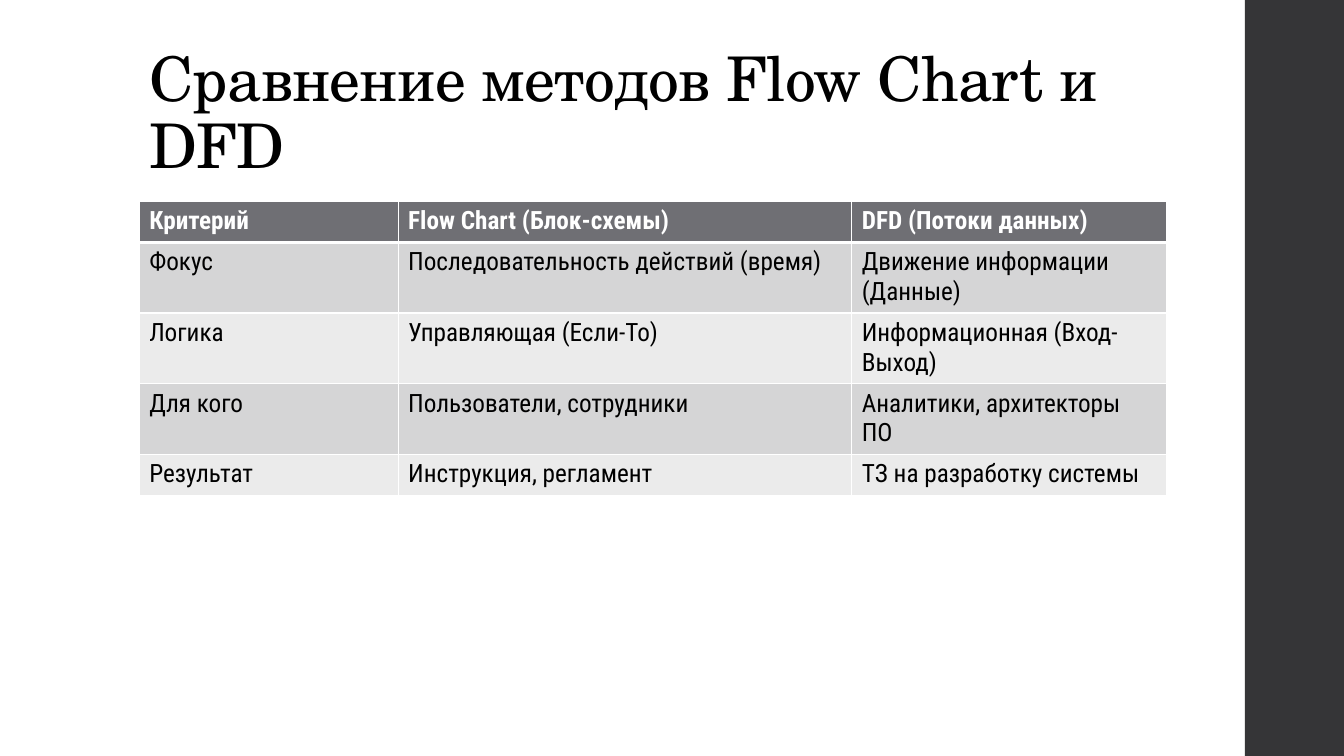
from dataclasses import dataclass

from lxml.etree import SubElement
from pptx import Presentation
from pptx.dml.color import RGBColor as Rgb
from pptx.enum.shapes import MSO_SHAPE as Preset
from pptx.enum.text import MSO_ANCHOR as Anchor
from pptx.oxml.ns import qn
from pptx.util import Pt

COLORS = {
    "paper": "FFFFFF",
    "ink": "000000",
    "sidebar": "353537",
    "header": "6F6F74",
    "dark_band": "D5D5D6",
    "light_band": "EBEBEB",
}
TITLE_FONT = "TeX Gyre Schola"
BODY_FONT = "Roboto Condensed"
COLUMN_WIDTHS = (185, 324, 224.7)
ROW_HEIGHT = 29.2


@dataclass(frozen=True)
class Comparison:
    criterion: str
    flow_chart: str
    dfd: str


HEADINGS = Comparison("Критерий", "Flow Chart (Блок-схемы)", "DFD (Потоки данных)")
COMPARISONS = (
    Comparison("Фокус", "Последовательность действий (время)", "Движение информации (Данные)"),
    Comparison("Логика", "Управляющая (Если-То)", "Информационная (Вход-Выход)"),
    Comparison("Для кого", "Пользователи, сотрудники", "Аналитики, архитекторы ПО"),
    Comparison("Результат", "Инструкция, регламент", "ТЗ на разработку системы"),
)


def color(name: str) -> Rgb:
    return Rgb.from_string(COLORS[name])


def write(frame, text: str, *, font: str = BODY_FONT, size: float = 18,
          ink: str = "ink", bold: bool = False, line_spacing: float = 1.0,
          tracking: float = 0) -> None:
    paragraph = frame.paragraphs[0]
    paragraph.line_spacing = line_spacing
    run = paragraph.add_run()
    run.text = text
    run.font.name = font
    run.font.size = Pt(size)
    run.font.bold = bold
    run.font.color.rgb = color(ink)
    if tracking:
        run._r.get_or_add_rPr().set("spc", str(round(tracking * 100)))


def add_borders(cell, top: float, bottom: float) -> None:
    properties = cell._tc.get_or_add_tcPr()
    for side, width in (("L", 1), ("R", 1), ("T", top), ("B", bottom)):
        border = SubElement(properties, qn(f"a:ln{side}"), w=str(Pt(width)))
        fill = SubElement(border, qn("a:solidFill"))
        SubElement(fill, qn("a:srgbClr"), val=COLORS["paper"])


def add_sidebar(slide) -> None:
    sidebar = slide.shapes.add_shape(Preset.RECTANGLE, Pt(889.2), Pt(0), Pt(70.8), Pt(540))
    sidebar.shadow.inherit = False
    sidebar.fill.solid()
    sidebar.fill.fore_color.rgb = color("sidebar")
    sidebar.line.fill.background()


def add_title(slide) -> None:
    title = slide.shapes.add_textbox(Pt(99.4), Pt(28.8), Pt(763.2), Pt(104.4)).text_frame
    title.word_wrap = True
    title.vertical_anchor = Anchor.BOTTOM
    write(title, "Сравнение методов Flow Chart и DFD", font=TITLE_FONT, size=44,
          line_spacing=0.9, tracking=-0.5)


def add_comparison_table(slide) -> None:
    rows = (HEADINGS, *COMPARISONS)
    table = slide.shapes.add_table(
        len(rows), len(COLUMN_WIDTHS), Pt(99.4), Pt(144),
        Pt(sum(COLUMN_WIDTHS)), Pt(ROW_HEIGHT * len(rows))).table
    for column, width in zip(table.columns, COLUMN_WIDTHS):
        column.width = Pt(width)
    for index, comparison in enumerate(rows):
        is_header = index == 0
        band = "header" if is_header else "dark_band" if index % 2 else "light_band"
        table.rows[index].height = Pt(ROW_HEIGHT)
        texts = (comparison.criterion, comparison.flow_chart, comparison.dfd)
        for cell, text in zip(table.rows[index].cells, texts):
            add_borders(cell, top=3 if index == 1 else 1, bottom=3 if is_header else 1)
            cell.fill.solid()
            cell.fill.fore_color.rgb = color(band)
            write(cell.text_frame, text, bold=is_header, ink="paper" if is_header else "ink")


def main() -> None:
    deck = Presentation()
    deck.slide_width, deck.slide_height = Pt(960), Pt(540)
    slide = deck.slides.add_slide(deck.slide_layouts[6])
    slide.background.fill.solid()
    slide.background.fill.fore_color.rgb = color("paper")
    add_sidebar(slide)
    add_title(slide)
    add_comparison_table(slide)
    deck.save("out.pptx")


if __name__ == "__main__":
    main()
